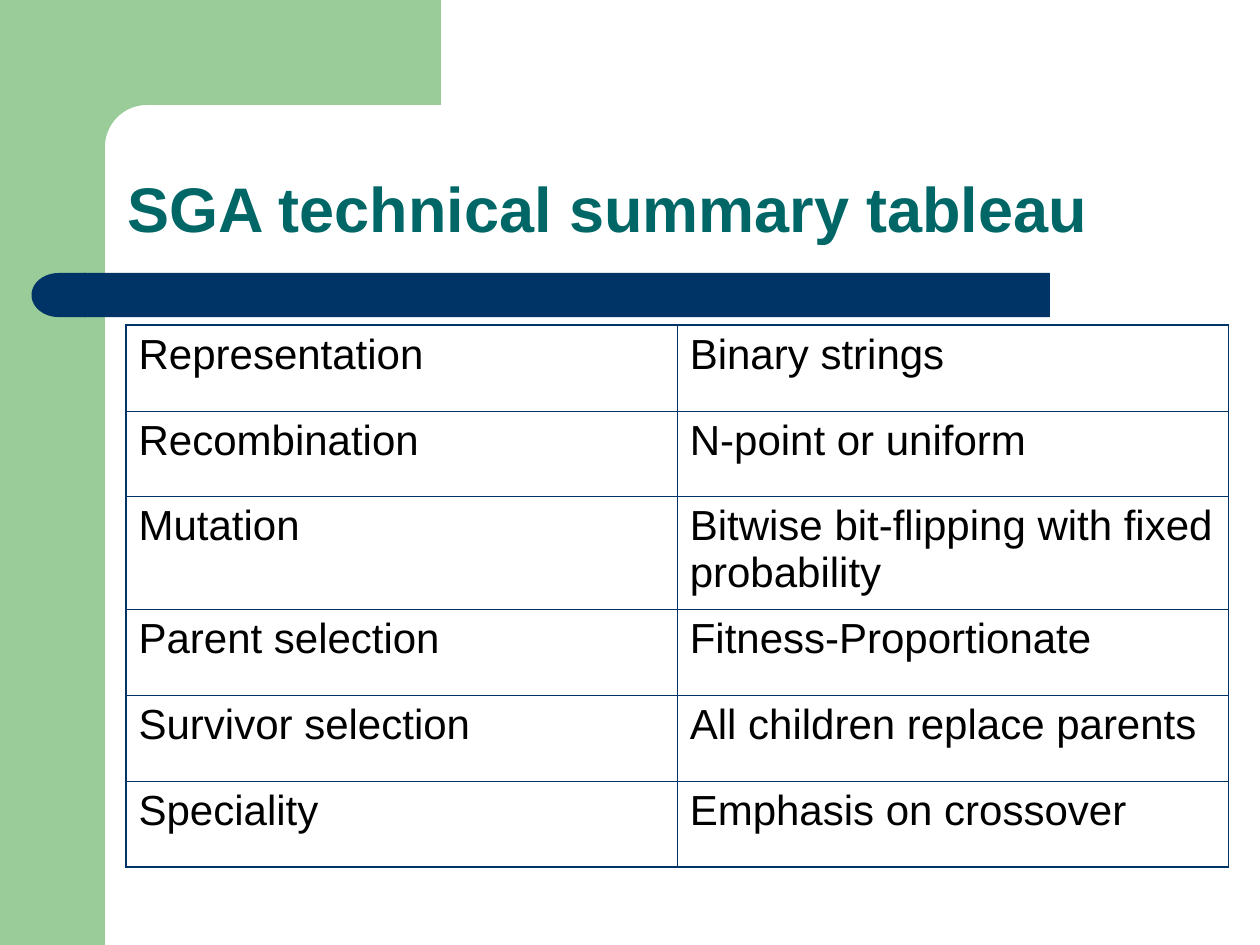
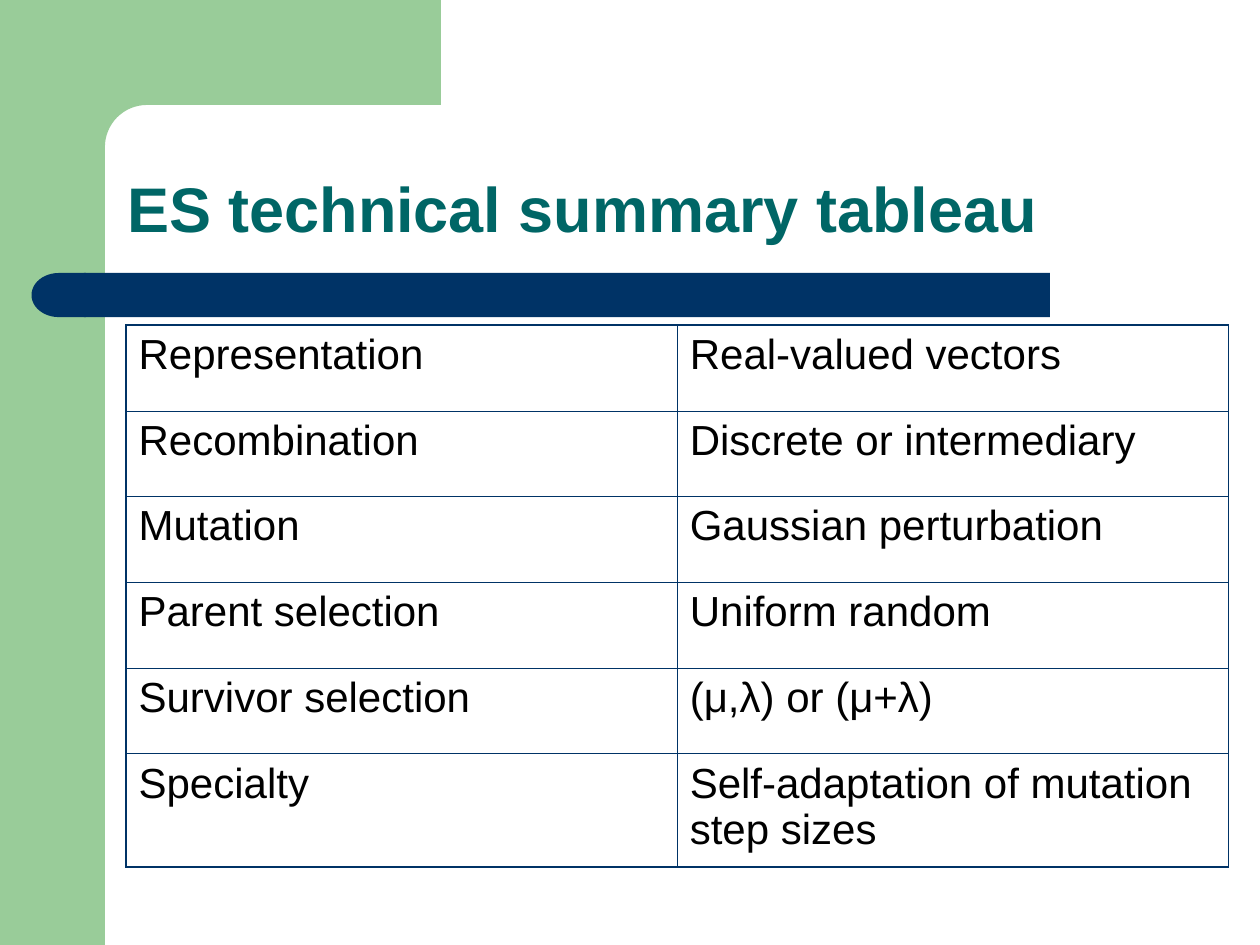
"""Build two technical summary slides about evolutionary algorithms."""
from dataclasses import dataclass
from math import cos, pi, sin

from lxml.etree import SubElement
from pptx import Presentation
from pptx.dml.color import RGBColor as Rgb
from pptx.enum.shapes import MSO_SHAPE as Kind
from pptx.enum.text import MSO_ANCHOR as Anchor, MSO_AUTO_SIZE as Fit, PP_ALIGN as Align
from pptx.oxml.ns import qn
from pptx.util import Pt


@dataclass(frozen=True)
class Theme:
    """Colours, font, type sizes and line widths."""
    green: Rgb = Rgb(0x99, 0xCC, 0x99)
    navy: Rgb = Rgb(0x00, 0x33, 0x66)
    teal: Rgb = Rgb(0x00, 0x66, 0x66)
    black: Rgb = Rgb(0, 0, 0)
    font: str = "Arial"
    title: float = 36
    body: float = 24
    outer: float = 1.08
    inner: float = 0.45


@dataclass(frozen=True)
class Box:
    """A place on the slide, in points."""
    left: float
    top: float
    width: float
    height: float

    def emu(self) -> tuple:
        """Give the four lengths to python-pptx."""
        return Pt(self.left), Pt(self.top), Pt(self.width), Pt(self.height)


@dataclass(frozen=True)
class Block:
    """A filled preset shape."""
    kind: Kind
    box: Box
    color: Rgb
    turn: float = 0


@dataclass(frozen=True)
class Summary:
    """The title and table of one slide."""
    title: str
    rows: tuple
    tall: int


THEME = Theme()
TITLE = Box(65.5, 65.5, 612.7, 78.5)
TABLE = Box(72, 185.8, 630, 309.6)
ROW, TALL = 49, 64.6
BLOCKS = (
    Block(Kind.RECTANGLE, Box(0, 0, 60, 540), THEME.green),
    Block(Kind.RECTANGLE, Box(48, 156, 552, 25.2), THEME.navy),
    Block(Kind.FLOWCHART_DELAY, Box(18, 156, 31, 25.2), THEME.navy, 180),
)
SLIDES = (
    Summary("SGA technical summary tableau", (
        ("Representation", "Binary strings"),
        ("Recombination", "N-point or uniform"),
        ("Mutation", "Bitwise bit-flipping with fixed probability"),
        ("Parent selection", "Fitness-Proportionate"),
        ("Survivor selection", "All children replace parents"),
        ("Speciality", "Emphasis on crossover"),
    ), 2),
    Summary("ES technical summary tableau", (
        ("Representation", "Real-valued vectors"),
        ("Recombination", "Discrete or intermediary"),
        ("Mutation", "Gaussian perturbation"),
        ("Parent selection", "Uniform random"),
        ("Survivor selection", "(μ,λ) or (μ+λ)"),
        ("Specialty", "Self-adaptation of mutation step sizes"),
    ), 5),
)


def paint(shape, color: Rgb) -> None:
    """Give a shape a plain fill without line or shadow."""
    shape.shadow.inherit = False
    shape.fill.solid()
    shape.fill.fore_color.rgb = color
    shape.line.fill.background()


def add_block(slide, block: Block):
    """Draw one preset shape."""
    shape = slide.shapes.add_shape(block.kind, *block.box.emu())
    shape.rotation = block.turn
    paint(shape, block.color)
    return shape


def add_corner(slide, edge: float = 60, bend: float = 24, steps: int = 16):
    """Draw the top band with its rounded inner corner."""
    mid = edge + bend
    angles = [pi / 2 * step / steps for step in range(steps + 1)]
    curve = [(mid - bend * sin(a), mid - bend * cos(a)) for a in angles]
    points = [(252, edge), *curve, (edge, 92), (36, 92), (36, 0)]
    pen = slide.shapes.build_freeform(Pt(252), 0)
    pen.add_line_segments([(Pt(x), Pt(y)) for x, y in points], close=True)
    shape = pen.convert_to_shape()
    paint(shape, THEME.green)
    return shape


def dress(layout, slide) -> None:
    """Draw the shared bands once and hand them to the layout."""
    shapes = [add_corner(slide), *(add_block(slide, block) for block in BLOCKS)]
    for place, shape in enumerate(shapes, 2):
        layout.shapes.element.insert(place, shape.element)


def style(para, size: float, color: Rgb, bold: bool = False) -> None:
    """Format the runs of a paragraph."""
    para.alignment = Align.LEFT
    for run in para.runs:
        font = run.font
        font.name, font.size, font.bold = THEME.font, Pt(size), bold
        font.color.rgb = color


def set_title(slide, text: str) -> None:
    """Fill, place and format the title."""
    title = slide.shapes.title
    title.left, title.top, title.width, title.height = TITLE.emu()
    frame = title.text_frame
    frame.text = text
    frame.word_wrap, frame.auto_size = True, Fit.NONE
    frame.vertical_anchor = Anchor.BOTTOM
    frame.paragraphs[0].line_spacing = 0.9
    style(frame.paragraphs[0], THEME.title, THEME.teal, True)


def add_edges(cell, edges: dict) -> None:
    """Rule the sides of a cell, heavier where the table ends."""
    props = cell._tc.get_or_add_tcPr()
    for side, end in edges.items():
        width = Pt(THEME.outer if end else THEME.inner)
        line = SubElement(props, qn(f"a:ln{side}"), w=str(width))
        fill = SubElement(line, qn("a:solidFill"))
        SubElement(fill, qn("a:srgbClr"), val=str(THEME.navy))


def add_grid(slide, data: Summary) -> None:
    """Draw the summary table."""
    count, cols = len(data.rows), len(data.rows[0])
    table = slide.shapes.add_table(count, cols, *TABLE.emu()).table
    table.first_row = table.horz_banding = False
    for col in table.columns:
        col.width = Pt(TABLE.width / cols)
    for r, texts in enumerate(data.rows):
        table.rows[r].height = Pt(TALL if r == data.tall else ROW)
        for c, text in enumerate(texts):
            cell = table.cell(r, c)
            cell.text_frame.text = text
            style(cell.text_frame.paragraphs[0], THEME.body, THEME.black)
            add_edges(cell, {"L": c == 0, "R": c == cols - 1,
                             "T": r == 0, "B": r == count - 1})
            cell.fill.background()


def main() -> None:
    """Build and save the slides."""
    deck = Presentation()
    deck.slide_width, deck.slide_height = Pt(720), Pt(540)
    layout = deck.slide_layouts[5]
    for holder in list(layout.placeholders):
        if holder.placeholder_format.idx:
            layout.shapes.element.remove(holder.element)
    for place, data in enumerate(SLIDES):
        slide = deck.slides.add_slide(layout)
        if place == 0:
            dress(layout, slide)
        set_title(slide, data.title)
        add_grid(slide, data)
    deck.save("out.pptx")


if __name__ == "__main__":
    main()
